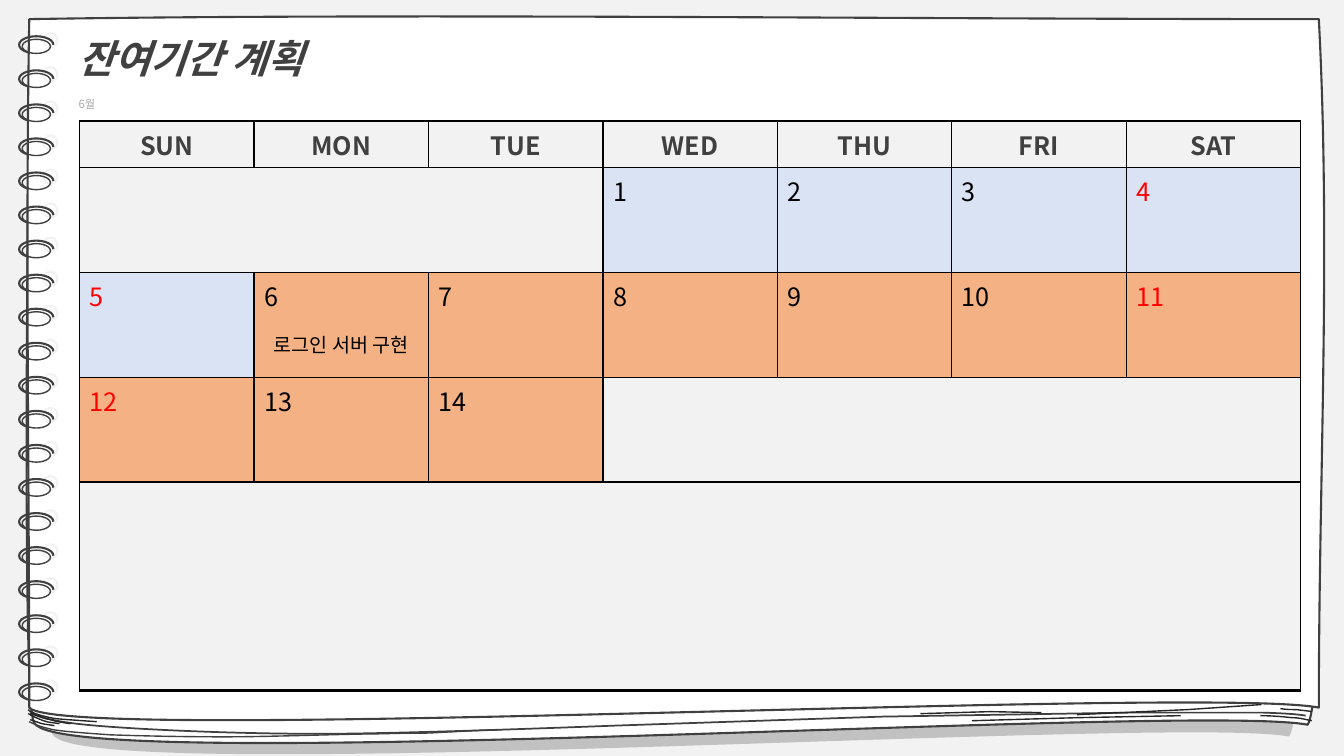
"""Build a June calendar slide drawn on a spiral notebook."""
from dataclasses import dataclass

from lxml import etree
from pptx import Presentation
from pptx.dml.color import RGBColor
from pptx.enum.shapes import MSO_SHAPE
from pptx.enum.text import MSO_ANCHOR, MSO_AUTO_SIZE, PP_ALIGN
from pptx.oxml.ns import qn
from pptx.util import Inches, Pt

ARC, OVAL = MSO_SHAPE.ARC, MSO_SHAPE.OVAL
LEFT, CENTER = PP_ALIGN.LEFT, PP_ALIGN.CENTER
TOP = MSO_ANCHOR.TOP
NO_FIT = MSO_AUTO_SIZE.NONE


@dataclass(frozen=True)
class Theme:
    """Colours, font and type sizes."""
    font: str = "Noto Sans CJK KR"
    paper: str = "FFFFFF"
    desk: str = "F2F2F2"
    ink: str = "404040"
    crease: str = "262626"
    muted: str = "A6A6A6"
    black: str = "000000"
    holiday: str = "FF0000"
    done: str = "DAE3F3"
    planned: str = "F4B183"
    title_size: int = 28
    month_size: int = 8
    day_size: int = 18
    task_size: int = 14


THEME = Theme()

TITLE = "잔여기간 계획"
MONTH = "6월"
WEEKDAYS = ["SUN", "MON", "TUE", "WED", "THU", "FRI", "SAT"]
LAST_DAY = 14
FIRST_COLUMN = 3
LAST_DONE_DAY = 5
TASK_DAY, TASK = 6, "로그인 서버 구현"
WEEK_ROWS = [1, 2, 4]
ROW_HEIGHTS = [0.46, 1.04, 0.52, 0.52, 1.04, 2.07]
COLUMN_WIDTH = 1.73
TABLE_LEFT, TABLE_TOP = 0.79, 1.2
BLANK_MERGES = [((1, 0), (1, 2)), ((4, 3), (4, 6)), ((5, 0), (5, 6))]

BACK_PAGE = [(0.3, 0.41), (3.87, 0.35, 8.75, 0.41, 12.98, 0.41),
             (13.09, 2.7, 13.16, 6.88, 12.97, 7.19),
             (11.83, 6.97, 0.58, 7.71, 0.34, 7.17),
             (0.23, 7.07, 0.26, 2.68, 0.3, 0.41)]
FRONT_PAGE = [(0.29, 0.19), (3.89, 0.13, 8.82, 0.19, 13.08, 0.19),
              (13.2, 2.48, 13.08, 4.74, 13.08, 7.02),
              (11.93, 6.8, 0.6, 7.39, 0.29, 7.02),
              (0.29, 4.74, 0.25, 2.45, 0.29, 0.19)]
PAGE_EDGES = [
    (THEME.ink, 1.25, [(0.28, 7.04), (0.34, 7.1, 0.48, 7.16, 0.96, 7.2),
                       (1.44, 7.24, 2.33, 7.28, 3.18, 7.28),
                       (4.03, 7.28, 6.07, 7.2, 6.07, 7.2), (8.75, 7.11), (11.19, 7.07),
                       (11.82, 7.07, 12.24, 7.07, 12.53, 7.07),
                       (12.82, 7.08, 12.89, 7.09, 12.95, 7.1)]),
    (THEME.ink, 1, [(0.29, 7.16), (0.35, 7.19, 0.4, 7.21, 0.53, 7.24),
                    (0.67, 7.26, 0.81, 7.27, 1.09, 7.29),
                    (1.38, 7.3, 1.78, 7.31, 2.23, 7.31),
                    (2.69, 7.31, 3.47, 7.28, 3.82, 7.28),
                    (3.98, 7.27, 4.11, 7.28, 4.3, 7.27),
                    (4.49, 7.26, 4.84, 7.24, 4.97, 7.24)]),
]
CREASES = [
    [(9.64, 7.15), (10.69, 7.12), (11.71, 7.1)],
    [(9.13, 7.08), (9.82, 7.06), (10.33, 7.07)],
    [(10.68, 7.09), (11.78, 7.04), (12.51, 6.99)],
    [(13.01, 7.15), (12.95, 7.14, 12.9, 7.12, 12.81, 7.12),
     (12.73, 7.11, 12.61, 7.1, 12.5, 7.1)],
    [(13.01, 7.06), (12.96, 7.05, 12.91, 7.05, 12.86, 7.04),
     (12.8, 7.04, 12.75, 7.04, 12.7, 7.03)],
    [(0.3, 7.06), (0.37, 7.09, 0.44, 7.11, 0.55, 7.13), (0.66, 7.14, 0.81, 7.15, 0.96, 7.16)],
    [(0.3, 7.08), (0.37, 7.1, 0.43, 7.13, 0.5, 7.14), (0.56, 7.16, 0.63, 7.17, 0.7, 7.18)],
    [(0.28, 7.08), (0.33, 7.11, 0.38, 7.13, 0.43, 7.15), (0.48, 7.17, 0.54, 7.17, 0.59, 7.18)],
    [(0.3, 7.14), (0.34, 7.15, 0.38, 7.17, 0.42, 7.18), (0.46, 7.19, 0.5, 7.19, 0.54, 7.2)],
]
RING_COUNT, FIRST_RING, LAST_RING = 20, 0.33, 6.75
SHORT_RINGS = {12, 14, 15}


def color(code):
    return RGBColor.from_string(code)


def style_shape(shape, fill, line, width):
    shape.shadow.inherit = False
    if fill:
        shape.fill.solid()
        shape.fill.fore_color.rgb = color(fill)
    else:
        shape.fill.background()
    shape.line.color.rgb = color(line)
    shape.line.width = Pt(width)


def draw_outline(slide, outline, line, width, fill=None):
    points = [(Inches(segment[-2]), Inches(segment[-1])) for segment in outline]
    builder = slide.shapes.build_freeform(*points[0])
    builder.add_line_segments(points[1:], close=fill is not None)
    shape = builder.convert_to_shape()
    strokes = list(shape.element.iter(qn("a:lnTo")))
    for stroke, segment in zip(strokes, outline[1:]):
        if len(segment) == 6:
            curve = etree.Element(qn("a:cubicBezTo"))
            for x, y in (segment[:2], segment[2:4]):
                etree.SubElement(curve, qn("a:pt"), x=str(Inches(x) - shape.left),
                                 y=str(Inches(y) - shape.top))
            curve.append(stroke[0])
            stroke.getparent().replace(stroke, curve)
    style_shape(shape, fill, line, width)
    return shape


def add_page_shadow(page):
    effects = page.element.spPr.find(qn("a:effectLst"))
    shadow = etree.SubElement(effects, qn("a:outerShdw"), dist=str(Pt(15)), dir="5400000",
                              sx="97000", sy="97000", algn="ctr", rotWithShape="0")
    tint = etree.SubElement(shadow, qn("a:srgbClr"), val=THEME.black)
    etree.SubElement(tint, qn("a:alpha"), val="20000")


def draw_ring(slide, index):
    top = FIRST_RING + index * (LAST_RING - FIRST_RING) / (RING_COUNT - 1)
    inner_start = 230 if index in SHORT_RINGS else 190
    parts = [(OVAL, 0.43, 0, 0.14, 0.14, THEME.paper, THEME.desk, 1.5, None),
             (ARC, 0.19, 0.03, 0.34, 0.17, None, THEME.ink, 1.5, (135, 320)),
             (ARC, 0.22, 0.06, 0.28, 0.14, None, THEME.ink, 1, (inner_start, 320))]
    for kind, left, drop, width, height, fill, line, weight, angles in parts:
        shape = slide.shapes.add_shape(kind, Inches(left), Inches(top + drop),
                                       Inches(width), Inches(height))
        style_shape(shape, fill, line, weight)
        for position, angle in enumerate(angles or ()):
            shape.adjustments[position] = (angle if angle <= 180 else angle - 360) * 0.6


def write(frame, text, size, tone, bold=False, italic=False, align=LEFT):
    para = frame.paragraphs[0]
    para.alignment = align
    span = para.add_run()
    span.text = text
    font = span.font
    font.name, font.size, font.bold, font.italic = THEME.font, Pt(size), bold, italic
    font.color.rgb = color(tone)
    etree.SubElement(font._element, qn("a:ea"), typeface=THEME.font)


def place_text(box, left, top, width, height, *args, **kwargs):
    box.left, box.top, box.width, box.height = map(Inches, (left, top, width, height))
    frame = box.text_frame
    frame.word_wrap, frame.auto_size, frame.vertical_anchor = True, NO_FIT, TOP
    frame.margin_left = frame.margin_top = frame.margin_right = frame.margin_bottom = 0
    write(frame, *args, **kwargs)


def style_cell(cell, fill, open_side=None, bottom_width=1):
    properties = cell._tc.get_or_add_tcPr()
    for side in "LRTB":
        width = bottom_width if side == "B" else 1
        border = etree.SubElement(properties, qn("a:ln" + side), w=str(Pt(width)))
        if side == open_side:
            etree.SubElement(border, qn("a:noFill"))
        else:
            paint = etree.SubElement(border, qn("a:solidFill"))
            etree.SubElement(paint, qn("a:srgbClr"), val=THEME.black)
    cell.fill.solid()
    cell.fill.fore_color.rgb = color(fill)


def add_calendar(slide):
    frame = slide.shapes.add_table(len(ROW_HEIGHTS), len(WEEKDAYS), Inches(TABLE_LEFT),
                                   Inches(TABLE_TOP), Inches(COLUMN_WIDTH * len(WEEKDAYS)),
                                   Inches(sum(ROW_HEIGHTS)))
    table = frame.table
    table.first_row = table.horz_banding = False
    for row, height in zip(table.rows, ROW_HEIGHTS):
        row.height = Inches(height)
    for column, name in enumerate(WEEKDAYS):
        table.columns[column].width = Inches(COLUMN_WIDTH)
        write(table.cell(0, column).text_frame, name, THEME.day_size, THEME.ink,
              bold=True, align=CENTER)
    fills, open_sides = {}, {}
    for day in range(1, LAST_DAY + 1):
        week, column = divmod(day + FIRST_COLUMN - 1, len(WEEKDAYS))
        row = WEEK_ROWS[week]
        fill = THEME.done if day <= LAST_DONE_DAY else THEME.planned
        tone = THEME.holiday if column in (0, len(WEEKDAYS) - 1) else THEME.black
        fills[row, column] = fill
        write(table.cell(row, column).text_frame, str(day), THEME.day_size, tone)
        if week == 1:
            fills[row + 1, column] = fill
            if day == TASK_DAY:
                open_sides = {(row, column): "B", (row + 1, column): "T"}
                write(table.cell(row + 1, column).text_frame, TASK, THEME.task_size,
                      THEME.black, align=CENTER)
            else:
                table.cell(row, column).merge(table.cell(row + 1, column))
    for first, last in BLANK_MERGES:
        table.cell(*first).merge(table.cell(*last))
    for row in range(len(ROW_HEIGHTS)):
        for column in range(len(WEEKDAYS)):
            style_cell(table.cell(row, column), fills.get((row, column), THEME.desk),
                       open_sides.get((row, column)), 2 if row == len(ROW_HEIGHTS) - 1 else 1)


def main():
    deck = Presentation()
    deck.slide_width, deck.slide_height = Inches(13.33), Inches(7.5)
    slide = deck.slides.add_slide(deck.slide_layouts[5])
    slide.background.fill.solid()
    slide.background.fill.fore_color.rgb = color(THEME.desk)
    add_page_shadow(draw_outline(slide, BACK_PAGE, THEME.ink, 1.5, THEME.paper))
    draw_outline(slide, FRONT_PAGE, THEME.ink, 1.5, THEME.paper)
    for line, width, outline in PAGE_EDGES + [(THEME.crease, 1, crease) for crease in CREASES]:
        draw_outline(slide, outline, line, width)
    for index in range(RING_COUNT):
        draw_ring(slide, index)
    title = slide.shapes.title
    title.element.getparent().append(title.element)
    place_text(title, 0.78, 0.34, 12, 0.6, TITLE, THEME.title_size, THEME.ink,
               bold=True, italic=True)
    month = slide.shapes.add_textbox(0, 0, 0, 0)
    place_text(month, 0.78, 0.97, 2, 0.2, MONTH, THEME.month_size, THEME.muted)
    add_calendar(slide)
    deck.save("out.pptx")


if __name__ == "__main__":
    main()
